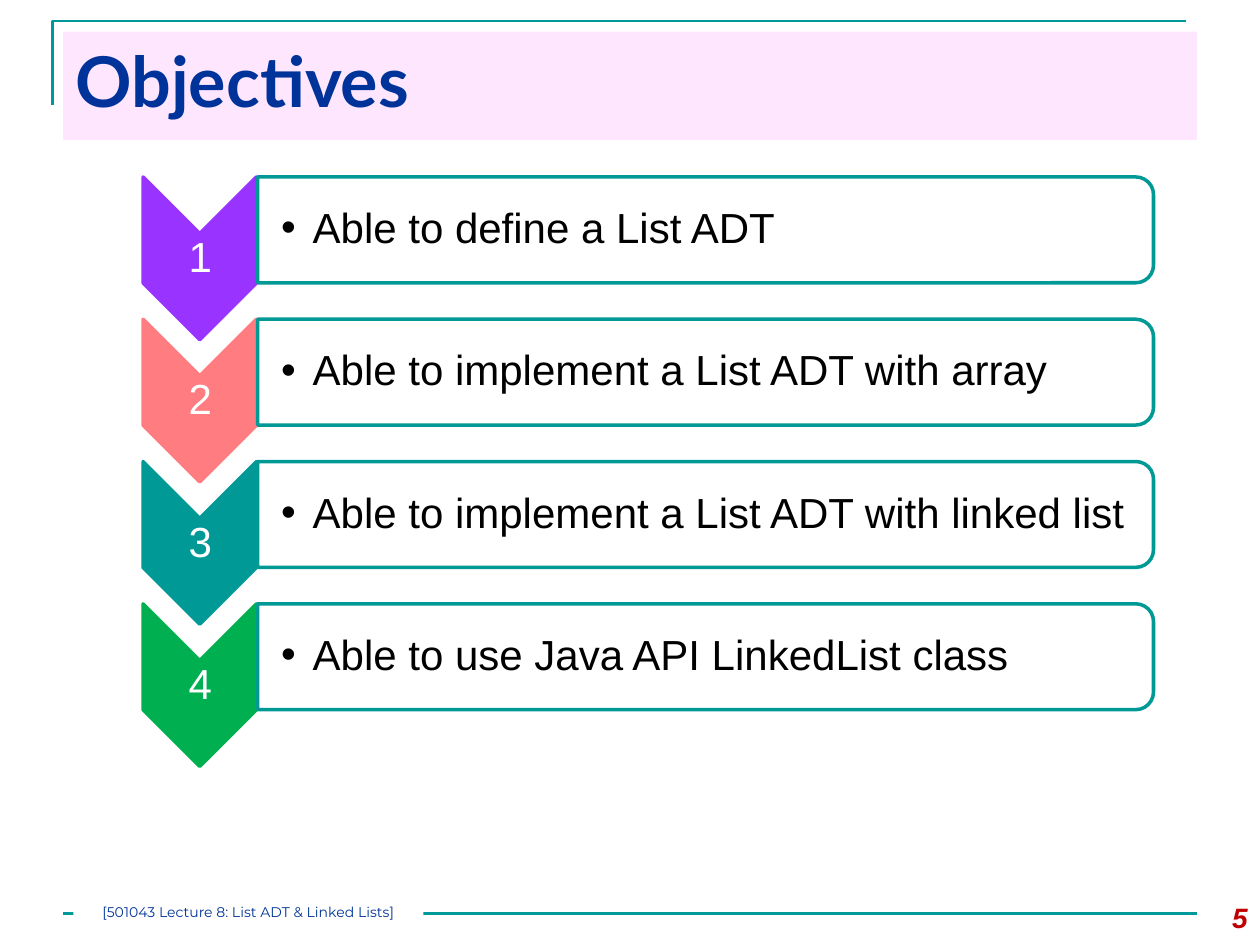
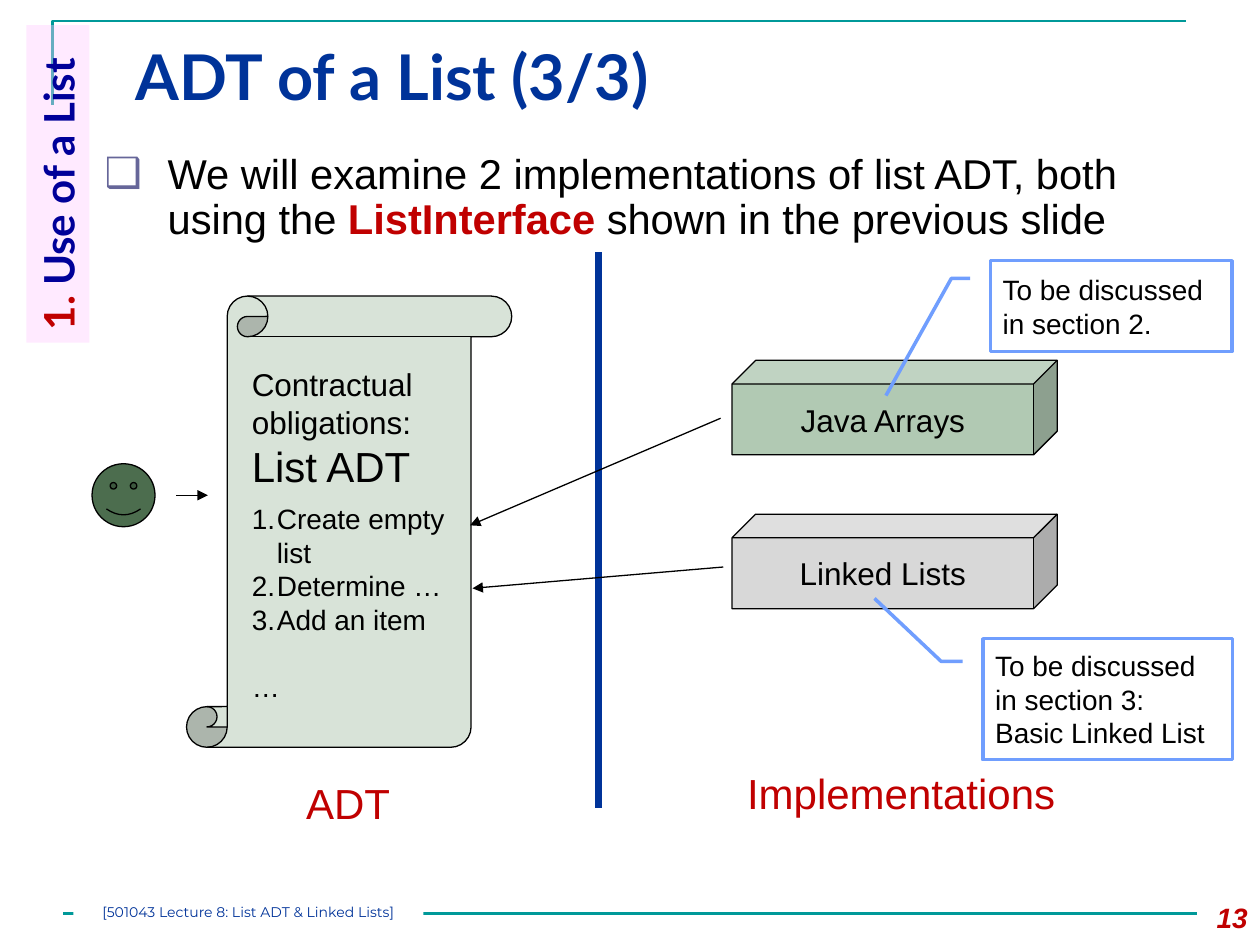
import pptx
import pptx.dml.color
import pptx.enum.shapes
import pptx.enum.text
import pptx.oxml.ns
import pptx.util
from lxml import etree

Pt = pptx.util.Pt
KIND = pptx.enum.shapes.MSO_SHAPE
ANCHOR = pptx.enum.text.MSO_ANCHOR
ALIGN = pptx.enum.text.PP_ALIGN
qn = pptx.oxml.ns.qn

HUE = {
    "ink": "000000", "white": "FFFFFF", "teal": "009999", "edge": "009996",
    "navy": "003399", "red": "C00000", "pink": "FF99FF", "rose": "FFCCFF",
    "blue": "000099", "slate": "666699", "sky": "709EFE", "violet": "9933FF",
    "coral": "FF7C80", "green": "00B050", "pale": "D8E3D8", "moss": "4C6D4E",
    "sage": "B1C9B3", "gray": "D8D8D8",
}

# Content
FOOTER = "[501043 Lecture 8: List ADT & Linked Lists]"
GOALS = [
    ("Able to define a List ADT", "violet"),
    ("Able to implement a List ADT with array", "coral"),
    ("Able to implement a List ADT with linked list", "edge"),
    ("Able to use Java API LinkedList class", "green"),
]
INTRO = [
    ("We will examine 2 implementations of list ADT, both using the ", {}),
    ("ListInterface ", {"color": "red", "bold": True}),
    ("shown in the previous slide", {}),
]
TERMS = [("Contractual", 18), ("obligations:", 18), ("List ADT", 24)]
DUTIES = ["Create empty list", "Determine …", "Add an item"]
LABEL = [("1. ", {"color": "red"}), ("Use of a List", {})]
CUBES = [("Java Arrays", "sage", 205.9), ("Linked Lists", "gray", 293.8)]
ARROWS = [
    ((100.8, 283), (118.8, 283)),
    ((411.8, 239), (268.6, 300.2)),
    ((413.3, 324), (270, 336.2)),
]
HEADS = [("ADT", (167.8, 440.6, 63.4, 36)),
         ("Implementations", (419.8, 434.9, 192.2, 36))]
NOTES = [
    ("To be discussed in section 2.", (565.9, 149, 138.2, 51.8),
     [(554.4, 159.1), (543.6, 159.1), (506.2, 226.1)]),
    ("To be discussed in section 3: Basic Linked List",
     (561.6, 365, 142.6, 69.1),
     [(550.1, 378), (537.8, 378), (499.7, 342)]),
]

# Shared formats
BASE = {"size": 24, "name": "Arial", "color": "ink", "bold": False}
TITLE = {"name": "Lato", "color": "navy", "bold": True}
PAGE = {"size": 16, "color": "red", "bold": True, "italic": True}
PAD = (7.2, 3.6, 7.2, 3.6)
SLIM = (1.4, 1.4, 1.4, 1.4)


def rgb(key):
    return pptx.dml.color.RGBColor.from_string(HUE[key])


def paint(shape, fill=None, line=None, width=0.75, alpha=None):
    """Set fill, outline and fill opacity (percent); drop the shadow."""
    shape.shadow.inherit = False
    if fill:
        shape.fill.solid()
        shape.fill.fore_color.rgb = rgb(fill)
        if alpha:
            tint = shape.fill._xPr.find(qn("a:solidFill"))[0]
            etree.SubElement(tint, qn("a:alpha"), val=str(alpha * 1000))
    else:
        shape.fill.background()
    if line:
        shape.line.color.rgb = rgb(line)
        shape.line.width = Pt(width)
    else:
        shape.line.fill.background()


def place(shape, box):
    for name, num in zip(("left", "top", "width", "height"), box):
        setattr(shape, name, Pt(num))


def form(slide, kind, box, turn=0, adj=(), **look):
    shape = slide.shapes.add_shape(kind, *map(Pt, box))
    shape.rotation = turn
    for i, num in enumerate(adj):
        shape.adjustments[i] = num
    paint(shape, **look)
    return shape


def frame(shape, pad=PAD, anchor=ANCHOR.TOP):
    """Prepare the text frame: wrap, insets and anchor."""
    body = shape.text_frame
    body.word_wrap = True
    body.auto_size = pptx.enum.text.MSO_AUTO_SIZE.NONE
    body.vertical_anchor = anchor
    for side, num in zip(("left", "top", "right", "bottom"), pad):
        setattr(body, "margin_" + side, Pt(num))
    return body


def fill_in(para, runs, style, al=ALIGN.LEFT, lead=1.0, before=0):
    """Write a string, or a list of (string, format) runs, into a paragraph."""
    para.alignment = al
    para.line_spacing = lead
    para.space_before = Pt(before)
    for words, extra in [(runs, {})] if isinstance(runs, str) else runs:
        run = para.add_run()
        run.text = words
        for key, val in {**BASE, **style, **extra}.items():
            if key == "color":
                run.font.color.rgb = rgb(val)
            else:
                setattr(run.font, key, Pt(val) if key == "size" else val)


def mark(para, hang, sign=None, hue="ink"):
    """Hang the paragraph on a bullet sign, or on a number if none is given."""
    props = para._p.get_or_add_pPr()
    props.set("marL", str(Pt(hang)))
    props.set("indent", str(-Pt(hang)))
    tint = etree.SubElement(props, qn("a:buClr"))
    etree.SubElement(tint, qn("a:srgbClr"), val=HUE[hue])
    if sign:
        etree.SubElement(props, qn("a:buFont"), typeface="Arial")
        etree.SubElement(props, qn("a:buChar"), char=sign)
    else:
        etree.SubElement(props, qn("a:buAutoNum"), type="arabicPeriod")


def label(slide, box, runs, style=BASE, pad=PAD, anchor=ANCHOR.TOP, **lay):
    body = frame(slide.shapes.add_textbox(*map(Pt, box)), pad, anchor)
    fill_in(body.paragraphs[0], runs, style, **lay)
    return body.paragraphs[0]


def rule(slide, start, end, hue, width, arrow=False):
    line = slide.shapes.add_connector(
        pptx.enum.shapes.MSO_CONNECTOR.STRAIGHT, *map(Pt, start + end))
    line.line.color.rgb = rgb(hue)
    line.line.width = Pt(width)
    if arrow:
        etree.SubElement(line.line._get_or_add_ln(), qn("a:tailEnd"),
                         type="triangle")
    etree.SubElement(line._element.spPr, qn("a:effectLst"))


def start(deck, layout, title, size, left, page):
    """Add a slide with its title, corner line, footer and page number."""
    slide = deck.slides.add_slide(deck.slide_layouts[layout])
    head = slide.shapes.title
    place(head, (left, 18, 684 - left, 62))
    fill_in(frame(head).paragraphs[0], title, {**TITLE, "size": size})
    pen = slide.shapes.build_freeform(Pt(30), Pt(60))
    pen.add_line_segments([(Pt(30), Pt(12)), (Pt(678), Pt(12))], close=False)
    paint(pen.convert_to_shape(), line="teal", width=1.5)
    rule(slide, (36, 522), (684, 522), "teal", 1.5)
    foot = form(slide, KIND.RECTANGLE, (42, 516.2, 200, 14.4), fill="white")
    fill_in(frame(foot, (0, 0, 0, 0)).paragraphs[0], FOOTER,
            {"size": 8, "name": "Montserrat", "color": "navy"}, ALIGN.CENTER)
    label(slide, (672, 511, 48, 29), page, PAGE, al=ALIGN.RIGHT)
    return slide


def goals(deck):
    slide = start(deck, 5, "Objectives", 40, 36, "5")
    paint(slide.shapes.title, fill="pink", alpha=24)
    wide, tall = 60.5, 511.9
    for i, (goal, hue) in enumerate(GOALS):
        drop = 81.3 * i
        mid = 131.4 + drop
        form(slide, KIND.CHEVRON, (67.7, 115.2 + drop, 92.9, 64.8), 90,
             (0.5,), fill=hue, line=hue, width=2)
        label(slide, (82, 134 + drop, 65, 28), str(i + 1),
              {"color": "white"}, SLIM, ANCHOR.MIDDLE,
              al=ALIGN.CENTER, lead=0.9)
        form(slide, KIND.ROUND_2_SAME_RECTANGLE,
             (403.2 - wide / 2, mid - tall / 2, wide, tall), 90, (0.167, 0),
             fill="white", alpha=89, line="edge", width=2)
        para = label(slide, (147, mid - 27.2, 509, 54.4), goal,
                     pad=(13.7, 1.4, 1.4, 1.4), anchor=ANCHOR.MIDDLE, lead=0.9)
        mark(para, 18, "•")


def scroll(slide):
    form(slide, KIND.VERTICAL_SCROLL, (106.6, 169.2, 185.8, 257.8),
         adj=(0.125,), fill="pale", line="ink")
    box = slide.shapes.add_textbox(*map(Pt, (136.8, 205.2, 127.4, 202.3)))
    body = frame(box)
    para = body.paragraphs[0]
    for words, size in TERMS:
        fill_in(para, words, {"size": size})
        para = body.add_paragraph()
    for i, duty in enumerate(DUTIES):
        fill_in(para, duty, {"size": 16}, before=0 if i else 6)
        mark(para, 14.4)
        para = body.add_paragraph()
    fill_in(para, "…", {"size": 16}, before=19)


def note(slide, words, box, leader):
    """Add a callout whose leader runs through the given points."""
    left, top, wide, tall = box
    adj = [num for x, y in leader
           for num in ((y - top) / tall, (x - left) / wide)]
    shape = form(slide, KIND.LINE_CALLOUT_2, box, adj=adj,
                 fill="white", line="sky", width=2)
    fill_in(frame(shape, anchor=ANCHOR.MIDDLE).paragraphs[0], words,
            {"size": 16})


def adt(deck):
    slide = start(deck, 1, "ADT of a List (3/3)", 36, 70.5, "13")
    body = slide.placeholders[1]
    place(body, (52.6, 84.2, 631.4, 69.8))
    para = frame(body).paragraphs[0]
    fill_in(para, INTRO, {"size": 23.8}, lead=0.9)
    mark(para, 36, "❑", "slate")
    rule(slide, (342, 144), (342, 462), "navy", 4.5)
    scroll(slide)
    form(slide, KIND.SMILEY_FACE, (52.6, 265, 36, 36), fill="moss", line="ink")
    for tail, tip in ARROWS:
        rule(slide, tail, tip, "ink", 0.75, arrow=True)
    for words, hue, top in CUBES:
        cube = form(slide, KIND.CUBE, (418.3, top, 185.8, 54), adj=(0.25,),
                    fill=hue, line="ink")
        fill_in(frame(cube, anchor=ANCHOR.MIDDLE).paragraphs[0], words,
                {"size": 18}, ALIGN.CENTER)
    for words, box in HEADS:
        label(slide, box, words, {"color": "red"})
    for words, box, leader in NOTES:
        note(slide, words, box, leader)
    side = form(slide, KIND.RECTANGLE, (-57.6, 87.1, 181.4, 36), 270,
                fill="rose", alpha=40)
    fill_in(frame(side).paragraphs[0], LABEL, {**TITLE, "color": "blue"})


def main():
    deck = pptx.Presentation()
    deck.slide_width, deck.slide_height = Pt(720), Pt(540)
    goals(deck)
    adt(deck)
    deck.save("out.pptx")


if __name__ == "__main__":
    main()
